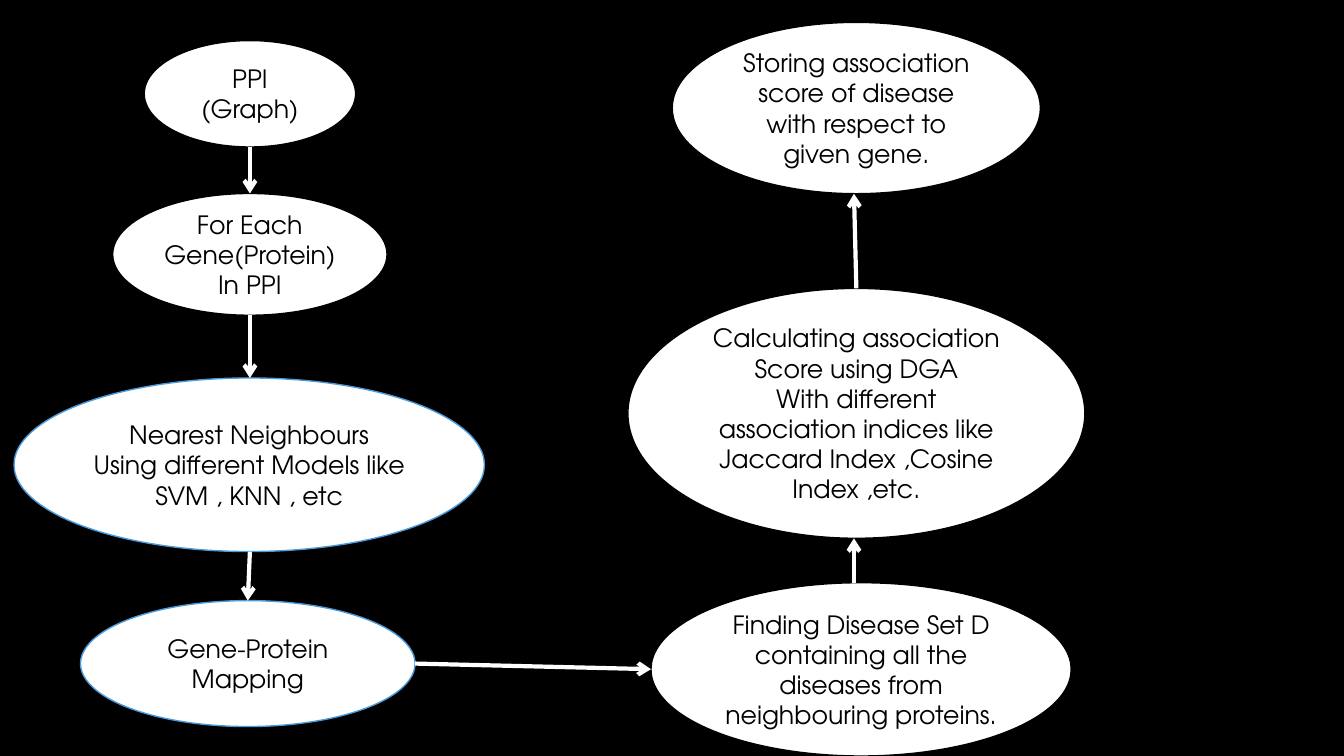
from lxml.etree import SubElement
from pptx import Presentation
from pptx.dml.color import RGBColor
from pptx.enum.shapes import MSO_CONNECTOR, MSO_SHAPE
from pptx.enum.text import MSO_ANCHOR, PP_ALIGN
from pptx.oxml.ns import qn
from pptx.util import Pt

BLACK = RGBColor(0, 0, 0)
WHITE = RGBColor(255, 255, 255)
BLUE = RGBColor(0x4A, 0x9B, 0xDC)

FRAME = {"word_wrap": True, "vertical_anchor": MSO_ANCHOR.MIDDLE}
FONT = {"name": "TeX Gyre Adventor", "size": Pt(18)}

GENES = [
    ((93, 0, 151, 76), BLACK, ["PPI (Graph)"]),
    ((70.5, 109.2, 196, 87), BLACK, ["For Each Gene(Protein)", "In PPI"]),
    ((0, 241, 336, 124), BLUE,
     ["Nearest Neighbours", "Using different Models like SVM , KNN , etc"]),
    ((47.5, 400, 239, 90), BLUE, ["Gene-Protein Mapping"]),
]
GENE_LINKS = [
    (168.5, 76, 168.5, 109.2),
    (168.5, 196.2, 168.5, 241),
    (168.5, 365, 167, 400),
]
SCORES = [
    ((31.7, 0, 263, 122.4), BLACK,
     ["Storing association score of disease with respect to given gene."]),
    ((0, 190, 326.4, 178.5), BLACK,
     ["Calculating association Score using DGA",
      "With different association indices like Jaccard Index ,Cosine Index ,etc."]),
    ((16.5, 400.2, 300.2, 123.8), BLACK,
     ["Finding Disease Set D containing all the diseases from "
      "neighbouring proteins."]),
]
SCORE_LINKS = [
    (161.5, 400.2, 161.5, 368.5),
    (163.2, 190, 161.5, 122.4),
]


def apply(target, values):
    for key, value in values.items():
        setattr(target, key, value)


def oval(slide, box, edge, texts):
    shape = slide.shapes.add_shape(MSO_SHAPE.OVAL, *map(Pt, box))
    shape.shadow.inherit = False
    shape.fill.solid()
    shape.fill.fore_color.rgb = WHITE
    shape.line.color.rgb = edge
    shape.line.width = Pt(1)
    frame = shape.text_frame
    apply(frame, FRAME)
    for index, text in enumerate(texts):
        para = frame.add_paragraph() if index else frame.paragraphs[0]
        para.alignment = PP_ALIGN.CENTER
        run = para.add_run()
        run.text = text
        apply(run.font, FONT)
        run.font.color.rgb = BLACK


def arrow(slide, ends):
    link = slide.shapes.add_connector(MSO_CONNECTOR.STRAIGHT, *map(Pt, ends))
    link.line.color.rgb = WHITE
    link.line.width = Pt(3)
    SubElement(link.line._get_or_add_ln(), qn("a:tailEnd"), type="arrow")
    SubElement(link._element.spPr, qn("a:effectLst"))


def column(slide, box, nodes, links):
    left, top = box[:2]
    for (x, y, width, height), edge, texts in nodes:
        oval(slide, (left + x, top + y, width, height), edge, texts)
    for x1, y1, x2, y2 in links:
        arrow(slide, (left + x1, top + y1, left + x2, top + y2))


def bridge(slide, box):
    left, top, width, height = box
    arrow(slide, (left, top, left + width, top + height))


deck = Presentation()
apply(deck, {"slide_width": Pt(960), "slide_height": Pt(540)})
slide = deck.slides.add_slide(deck.slide_layouts[6])
slide.background.fill.solid()
slide.background.fill.fore_color.rgb = BLACK
column(slide, (10, 29, 336, 490), GENES, GENE_LINKS)
column(slide, (448.5, 16, 326.4, 524), SCORES, SCORE_LINKS)
bridge(slide, (296.5, 474, 168.5, 4))
deck.save("out.pptx")
